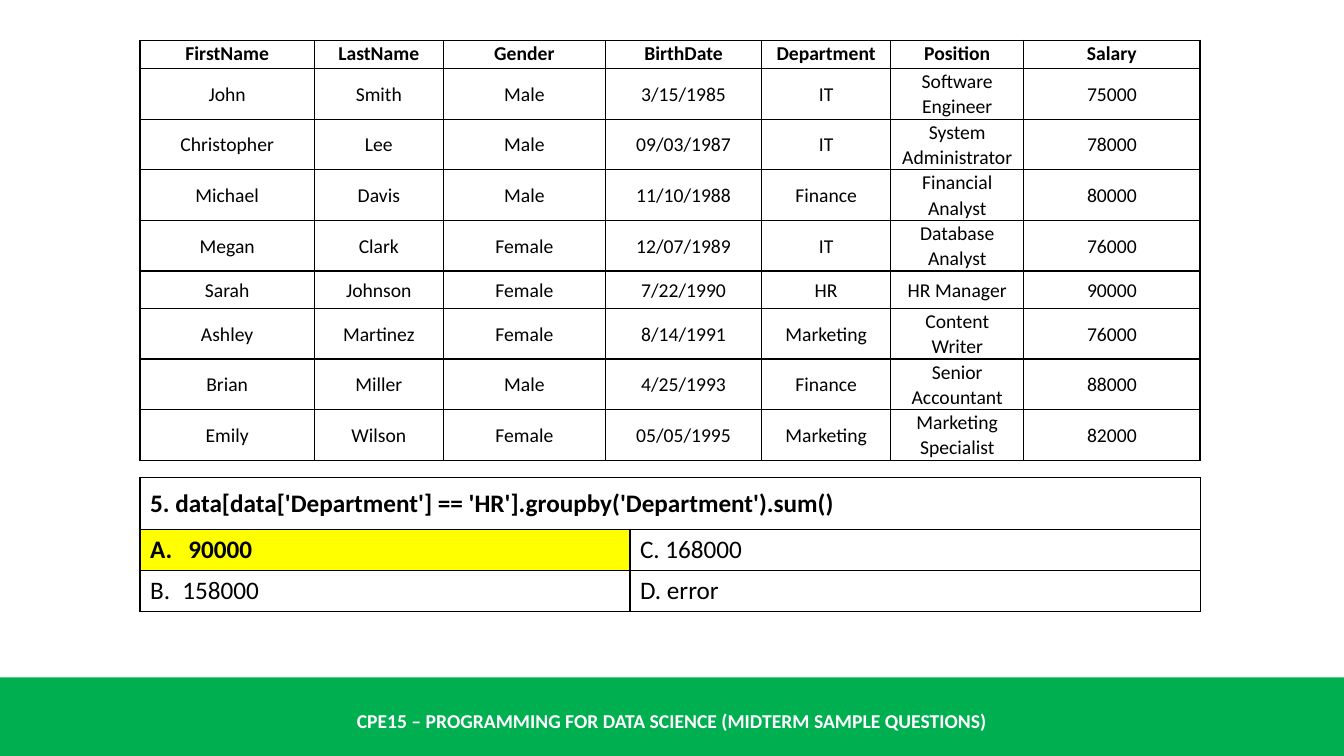
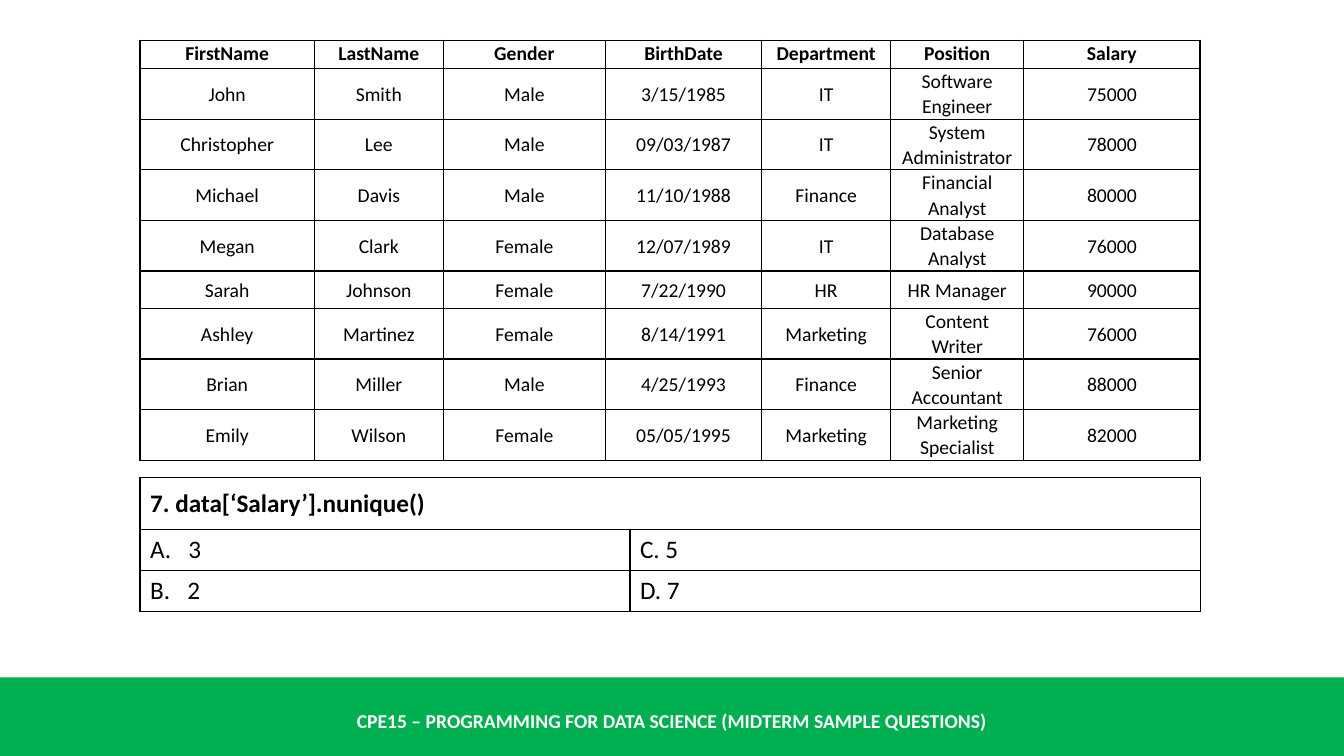
from pptx import Presentation
from pptx.dml.color import RGBColor
from pptx.enum.shapes import MSO_SHAPE
from pptx.enum.text import MSO_ANCHOR, PP_ALIGN
from pptx.oxml.ns import qn
from pptx.util import Inches, Pt
from lxml import etree

RECT = MSO_SHAPE.RECTANGLE
TOP, MIDDLE = MSO_ANCHOR.TOP, MSO_ANCHOR.MIDDLE
LEFT, CENTER = PP_ALIGN.LEFT, PP_ALIGN.CENTER

GREEN = RGBColor(0x00, 0xB0, 0x50)
YELLOW = RGBColor(0xFF, 0xFF, 0x00)
BLACK = RGBColor(0x00, 0x00, 0x00)
WHITE = RGBColor(0xFF, 0xFF, 0xFF)

FOOTER = "CPE15 – PROGRAMMING FOR DATA SCIENCE (MIDTERM SAMPLE QUESTIONS)"

# Text formats
BODY = {"name": "Calibri", "size": Pt(14), "bold": False}
HEAD = {**BODY, "bold": True}
ANSWER = {**BODY, "size": Pt(18)}
QUESTION = {**ANSWER, "bold": True}
TIGHT = {"margin_left": Inches(0.07), "margin_right": Inches(0.07),
         "margin_top": 0, "margin_bottom": 0}

# Lengths are percent of the slide's width or height
TABLE_X = 10.42
STAFF_Y, QUIZ_Y = 5.33, 63.2
STAFF_COLS = [12.97, 9.6, 12.07, 11.62, 9.6, 9.9, 13.12]
HEAD_ROW, ONE_LINE, TWO_LINES = 3.73, 4.93, 6.7
QUIZ_COLS = [36.45, 42.43]
QUIZ_ROWS = [6.8, 5.44, 5.44]

STAFF = [
    ["FirstName", "LastName", "Gender", "BirthDate", "Department", "Position", "Salary"],
    ["John", "Smith", "Male", "3/15/1985", "IT", "Software Engineer", "75000"],
    ["Christopher", "Lee", "Male", "09/03/1987", "IT", "System Administrator", "78000"],
    ["Michael", "Davis", "Male", "11/10/1988", "Finance", "Financial Analyst", "80000"],
    ["Megan", "Clark", "Female", "12/07/1989", "IT", "Database Analyst", "76000"],
    ["Sarah", "Johnson", "Female", "7/22/1990", "HR", "HR Manager", "90000"],
    ["Ashley", "Martinez", "Female", "8/14/1991", "Marketing", "Content Writer", "76000"],
    ["Brian", "Miller", "Male", "4/25/1993", "Finance", "Senior Accountant", "88000"],
    ["Emily", "Wilson", "Female", "05/05/1995", "Marketing", "Marketing Specialist", "82000"],
]
STAFF_ROWS = [HEAD_ROW] + [ONE_LINE if row[5] == "HR Manager" else TWO_LINES
                           for row in STAFF[1:]]

# Question, answers A to D, tab position of B in inches, whether A is marked
QUIZZES = [
    ("5. data[data['Department'] == 'HR'].groupby('Department').sum()",
     ["90000", "B.\t158000", "C. 168000", "D. error"], 0.32, True),
    ("7. data[‘Salary’].nunique()",
     ["3", "B.\t2", "C. 5", "D. 7"], 0.37, False),
]


class Deck:
    def __init__(self):
        self.prs = Presentation()
        self.prs.slide_width, self.prs.slide_height = Inches(13.33), Inches(7.5)
        self.s = None

    def w(self, share):
        return round(self.prs.slide_width * share / 100)

    def h(self, share):
        return round(self.prs.slide_height * share / 100)

    def box(self, x, y, w, h):
        return self.w(x), self.h(y), self.w(w), self.h(h)

    def slide(self):
        self.s = self.prs.slides.add_slide(self.prs.slide_layouts[6])
        self.footer()

    def text(self, tf, text, fmt, color=BLACK, align=LEFT):
        p = tf.paragraphs[0]
        p.alignment = align
        r = p.add_run()
        r.text = text
        for key, value in fmt.items():
            setattr(r.font, key, value)
        r.font.color.rgb = color
        return p

    def footer(self):
        sp = self.s.shapes.add_shape(RECT, *self.box(0, 89.6, 100, 10.4))
        sp.shadow.inherit = False
        sp.fill.solid()
        sp.fill.fore_color.rgb = GREEN
        sp.line.fill.background()
        tf = self.s.shapes.add_textbox(*self.box(0, 92.67, 100, 5.33)).text_frame
        tf.word_wrap = True
        tf.vertical_anchor = MIDDLE
        self.text(tf, FOOTER, HEAD, WHITE, CENTER)

    def table(self, y, cols, rows):
        frame = self.s.shapes.add_table(
            len(rows), len(cols), *self.box(TABLE_X, y, sum(cols), sum(rows)))
        table = frame.table
        table.first_row = table.horz_banding = False
        for col, share in zip(table.columns, cols):
            col.width = self.w(share)
        for row, share in zip(table.rows, rows):
            row.height = self.h(share)
        for cell in table.iter_cells():
            cell.fill.background()
            cell.vertical_anchor = MIDDLE
            self.borders(cell)
        return table

    def borders(self, cell):
        tc_pr = cell._tc.get_or_add_tcPr()
        for i, side in enumerate("LRTB"):
            ln = etree.Element(qn(f"a:ln{side}"), w=str(Pt(1)))
            fill = etree.SubElement(ln, qn("a:solidFill"))
            etree.SubElement(fill, qn("a:srgbClr"), val=str(BLACK))
            tc_pr.insert(i, ln)

    def staff_table(self):
        table = self.table(STAFF_Y, STAFF_COLS, STAFF_ROWS)
        for i, row in enumerate(STAFF):
            for j, value in enumerate(row):
                cell = table.cell(i, j)
                for key, margin in TIGHT.items():
                    setattr(cell, key, margin)
                if i == 0:
                    cell.vertical_anchor = TOP
                p = self.text(cell.text_frame, value, HEAD if i == 0 else BODY, align=CENTER)
                p.line_spacing = 1.06

    def quiz_table(self, question, answers, tab, marked):
        table = self.table(QUIZ_Y, QUIZ_COLS, QUIZ_ROWS)
        table.cell(0, 0).merge(table.cell(0, 1))
        self.text(table.cell(0, 0).text_frame, question, QUESTION)
        paragraphs = []
        for i, answer in enumerate(answers):
            cell = table.cell(1 + i % 2, i // 2)
            fmt = QUESTION if marked and i == 0 else ANSWER
            paragraphs.append(self.text(cell.text_frame, answer, fmt))
        if marked:
            fill = table.cell(1, 0).fill
            fill.solid()
            fill.fore_color.rgb = YELLOW
        # Lettered bullet for A, tab stop for B
        p_pr = paragraphs[0]._p.get_or_add_pPr()
        p_pr.set("marL", str(Inches(0.38)))
        p_pr.set("indent", str(-Inches(0.38)))
        etree.SubElement(p_pr, qn("a:buAutoNum"), type="alphaUcPeriod")
        tabs = etree.SubElement(paragraphs[1]._p.get_or_add_pPr(), qn("a:tabLst"))
        etree.SubElement(tabs, qn("a:tab"), pos=str(Inches(tab)), algn="l")


def main():
    deck = Deck()
    for quiz in QUIZZES:
        deck.slide()
        deck.staff_table()
        deck.quiz_table(*quiz)
    deck.prs.save("out.pptx")


if __name__ == "__main__":
    main()
